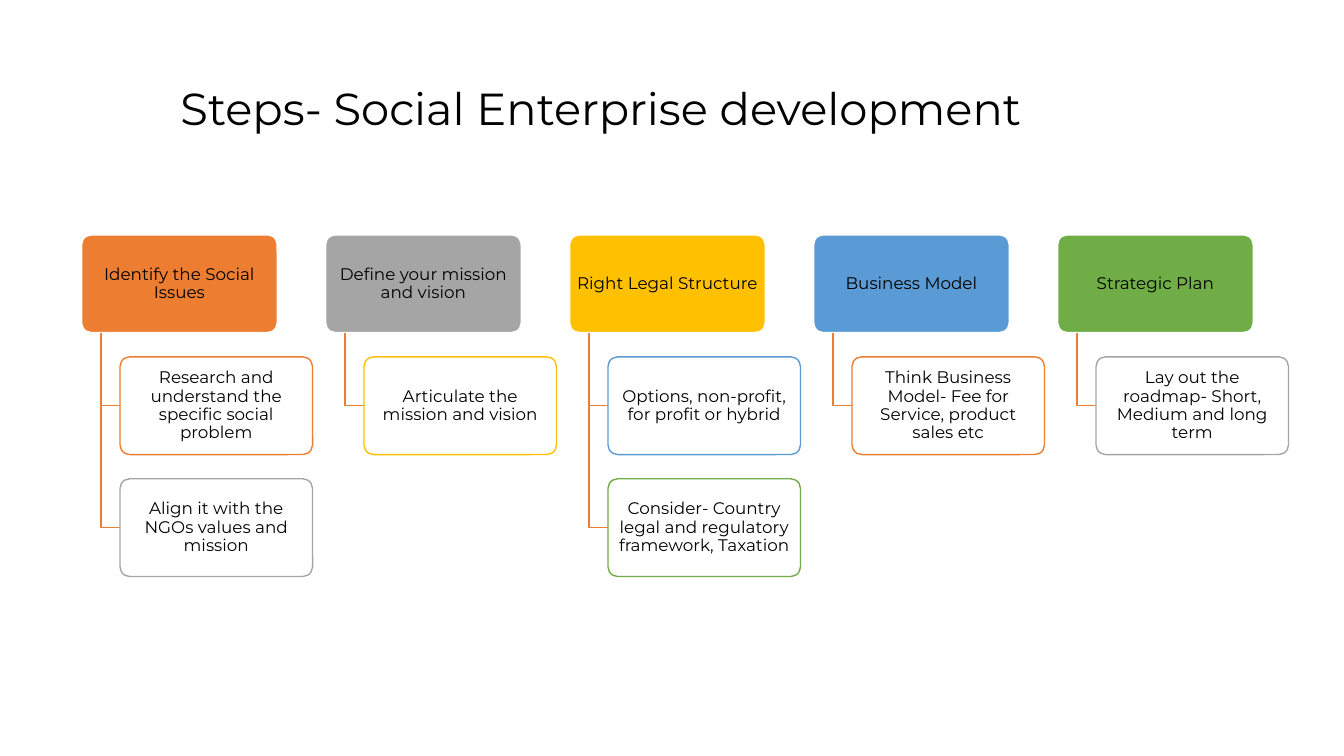
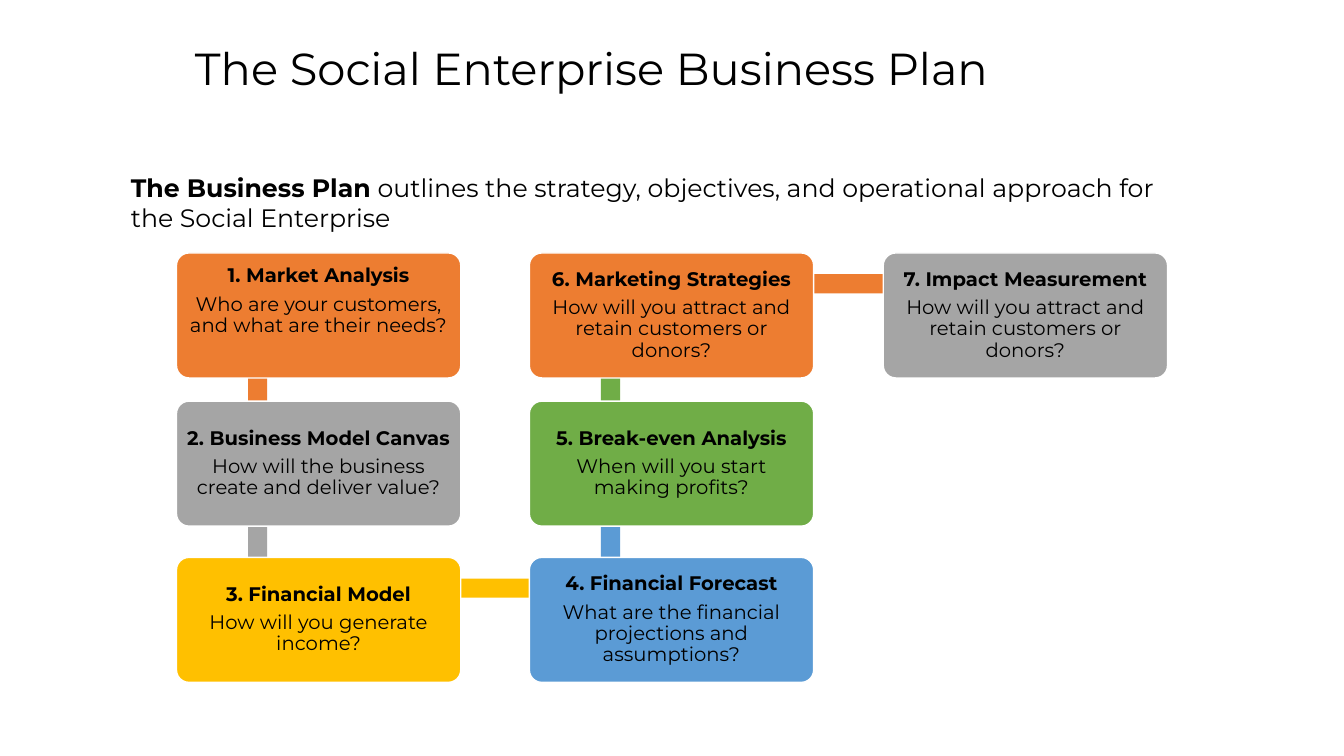
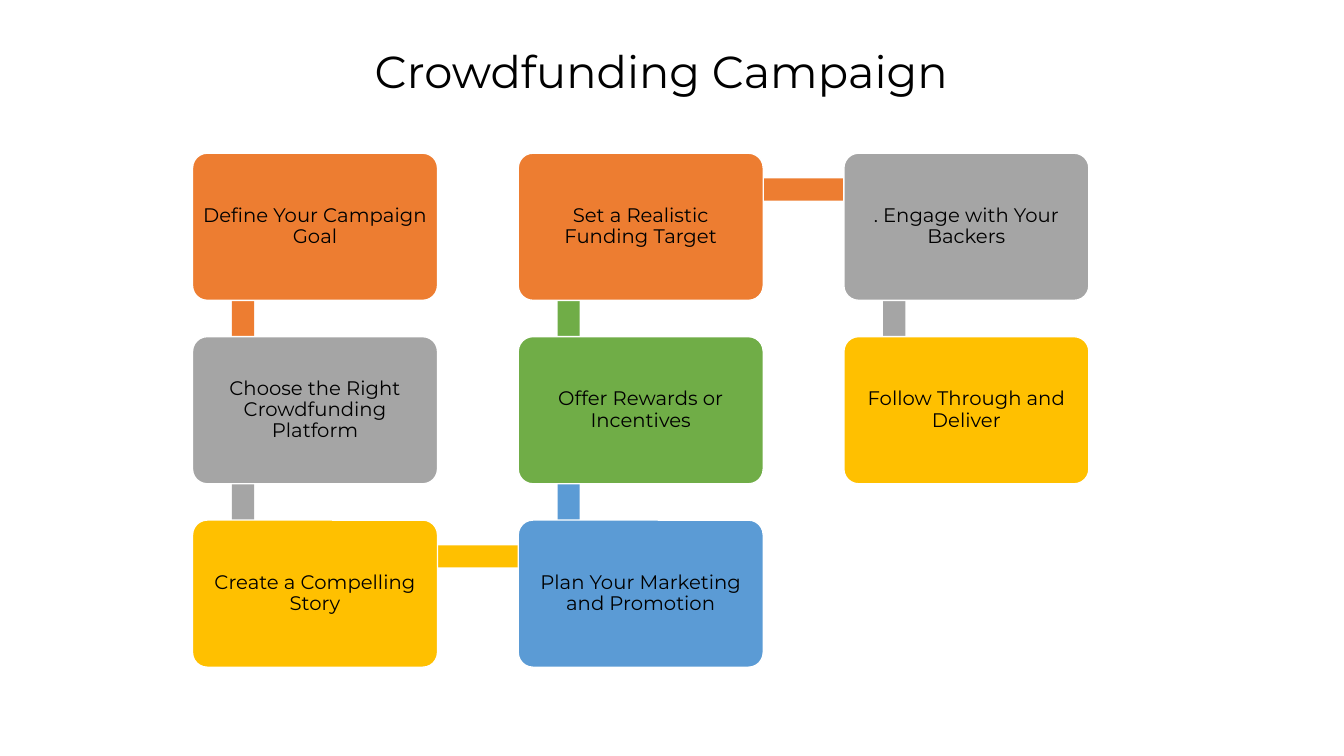
"""Build three slides on planning and funding a social enterprise."""
from itertools import cycle

from pptx import Presentation
from pptx.dml.color import RGBColor
from pptx.enum.shapes import MSO_SHAPE
from pptx.enum.text import MSO_ANCHOR, MSO_AUTO_SIZE, PP_ALIGN
from pptx.util import Inches, Pt

ROUND = MSO_SHAPE.ROUNDED_RECTANGLE
RECT = MSO_SHAPE.RECTANGLE
TOP = MSO_ANCHOR.TOP
MIDDLE = MSO_ANCHOR.MIDDLE
NO_FIT = MSO_AUTO_SIZE.NONE
LEFT = PP_ALIGN.LEFT
CENTER = PP_ALIGN.CENTER

FONT = "Montserrat"
COLORS = {
    "orange": "ED7D31",
    "gray": "A5A5A5",
    "gold": "FFC000",
    "blue": "5B9BD5",
    "green": "70AD47",
    "white": "FFFFFF",
    "black": "000000",
}
WHEEL = ["orange", "gray", "gold", "blue", "green"]
SNAKE = [(0, 0), (0, 1), (0, 2), (1, 2), (1, 1), (1, 0), (2, 0), (2, 1)]

STEPS = [
    ("Identify the Social Issues", [
        "Research and understand the specific social problem",
        "Align it with the NGOs values and mission"]),
    ("Define your mission and vision", ["Articulate the mission and vision"]),
    ("Right Legal Structure", [
        "Options, non-profit, for profit or hybrid",
        "Consider- Country legal and regulatory framework, Taxation"]),
    ("Business Model", [
        "Think Business Model- Fee for Service, product sales etc"]),
    ("Strategic Plan", ["Lay out the roadmap- Short, Medium and long term"]),
]
PLAN = [
    "1. Market Analysis\nWho are your customers, and what are their needs?",
    "2. Business Model Canvas\nHow will the business create and deliver value?",
    "3. Financial Model\nHow will you generate income?",
    "4. Financial Forecast\nWhat are the financial projections and assumptions?",
    "5. Break-even Analysis\nWhen will you start making profits?",
    "6. Marketing Strategies\nHow will you attract and retain customers or donors?",
    "7. Impact Measurement\nHow will you attract and retain customers or donors?",
]
FUNDS = [
    "Define Your Campaign Goal",
    "Choose the Right Crowdfunding Platform",
    "Create a Compelling Story",
    "Plan Your Marketing and Promotion",
    "Offer Rewards or Incentives",
    "Set a Realistic Funding Target",
    ". Engage with Your Backers",
    "Follow Through and Deliver",
]
PLAN_GRID = {
    "xs": [1.75, 5.25, 8.76], "ys": [2.51, 3.98, 5.53],
    "size": (2.82, 1.24), "thick": 0.19,
    "down": (0.71, 0.05, 0.54), "across": (0.16, 0.21, 1.29),
}
FUND_GRID = {
    "xs": [1.91 + 3.23 * i for i in range(3)],
    "ys": [1.52 + 1.82 * i for i in range(3)],
    "size": (2.43, 1.46), "thick": 0.22,
    "down": (0.39, 0.36, 0), "across": (0.5, 0.25, 0),
}


def color(name):
    return RGBColor.from_string(COLORS[name])


def style(para, size, bold=False):
    for run in para.runs:
        run.font.name = FONT
        run.font.size = Pt(size)
        run.font.bold = bold
        run.font.color.rgb = color("black")


def add_slide(deck, title, at, align=CENTER):
    slide = deck.slides.add_slide(deck.slide_layouts[5])
    head = slide.shapes.title
    head.left, head.top, head.width, head.height = map(Inches, at)
    frame = head.text_frame
    frame.text = title
    frame.auto_size = NO_FIT
    frame.word_wrap = True
    frame.vertical_anchor = TOP
    para = frame.paragraphs[0]
    para.alignment = align
    para.line_spacing = 0.9
    style(para, 32)
    return slide


def add_block(slide, kind, at, fill, edge=None):
    shape = slide.shapes.add_shape(kind, *map(Inches, at))
    shape.shadow.inherit = False
    shape.fill.solid()
    shape.fill.fore_color.rgb = color(fill)
    if edge:
        shape.line.color.rgb = color(edge)
        shape.line.width = Pt(1)
    else:
        shape.line.fill.background()
    return shape


def add_card(slide, at, text, size, pad, fill, edge="white"):
    card = add_block(slide, ROUND, at, fill, edge)
    card.adjustments[0] = 0.1
    frame = card.text_frame
    frame.text = text
    frame.word_wrap = True
    frame.vertical_anchor = MIDDLE
    frame.margin_left = frame.margin_right = Inches(pad)
    frame.margin_top = frame.margin_bottom = Inches(pad)
    last = len(frame.paragraphs) - 1
    for i, para in enumerate(frame.paragraphs):
        para.alignment = CENTER
        para.line_spacing = 0.9
        para.space_after = Pt(5 if i < last else 0)
        style(para, size, bold=i < last)
    return card


def add_branch(slide, x, top, end, y):
    path = slide.shapes.build_freeform(Inches(x), Inches(top), 1.0)
    path.add_line_segments(
        [(Inches(x), Inches(y)), (Inches(end), Inches(y))], close=False)
    branch = path.convert_to_shape()
    branch.shadow.inherit = False
    branch.fill.background()
    branch.line.color.rgb = color("orange")
    branch.line.width = Pt(1)


def add_tree(slide, steps):
    top, high, hues = 2.33, 0.97, cycle(WHEEL)
    for i, (head, leaves) in enumerate(steps):
        x = 0.81 + 2.42 * i
        add_card(slide, (x, top, 1.94, high), head, 12, 0.03, WHEEL[i])
        for k, leaf in enumerate(leaves):
            y = 3.54 + 1.21 * k
            add_branch(slide, x + 0.19, top + high, x + 0.38, y + high / 2)
            add_card(slide, (x + 0.38, y, 1.91, high), leaf, 12, 0.03,
                     "white", next(hues))


def add_bar(slide, grid, start, stop, fill):
    xs, ys, thick = grid["xs"], grid["ys"], grid["thick"]
    (left, right), (top, low) = map(sorted, zip(start, stop))
    if left == right:
        dx, dy, extra = grid["down"]
        size = (thick, ys[low] - ys[top] + extra)
    else:
        dx, dy, extra = grid["across"]
        size = (xs[right] - xs[left] + extra, thick)
    add_block(slide, RECT, (xs[left] + dx, ys[top] + dy, *size), fill)


def add_flow(slide, grid, texts):
    cards = []
    for i, (text, fill) in enumerate(zip(texts, cycle(WHEEL))):
        if i + 1 < len(texts):
            add_bar(slide, grid, SNAKE[i], SNAKE[i + 1], fill)
        col, row = SNAKE[i]
        at = (grid["xs"][col], grid["ys"][row], *grid["size"])
        cards.append(add_card(slide, at, text, 14, 0.06, fill))
    return cards


def add_intro(slide, at, lead, rest):
    frame = slide.shapes.add_textbox(*map(Inches, at)).text_frame
    frame.word_wrap = True
    para = frame.paragraphs[0]
    para.text = lead
    para.add_run().text = rest
    style(para, 18)
    para.runs[0].font.bold = True


def main():
    deck = Presentation()
    deck.slide_width, deck.slide_height = Inches(13.33), Inches(7.5)

    slide = add_slide(deck, "Steps- Social Enterprise development",
                      (1.69, 0.81, 9.68, 0.85), LEFT)
    add_tree(slide, STEPS)

    slide = add_slide(deck, "The Social Enterprise Business Plan",
                      (1.03, 0.41, 9.68, 0.85))
    cards = add_flow(slide, PLAN_GRID, PLAN)
    cards[0].text_frame.margin_bottom = Inches(0.34)
    add_intro(slide, (1.2, 1.66, 10.55, 0.71), "The Business Plan",
              " outlines the strategy, objectives, and operational approach"
              " for the Social Enterprise")

    slide = add_slide(deck, "Crowdfunding Campaign", (2.59, 0.44, 7.94, 0.6))
    add_flow(slide, FUND_GRID, FUNDS)

    deck.save("out.pptx")


if __name__ == "__main__":
    main()
